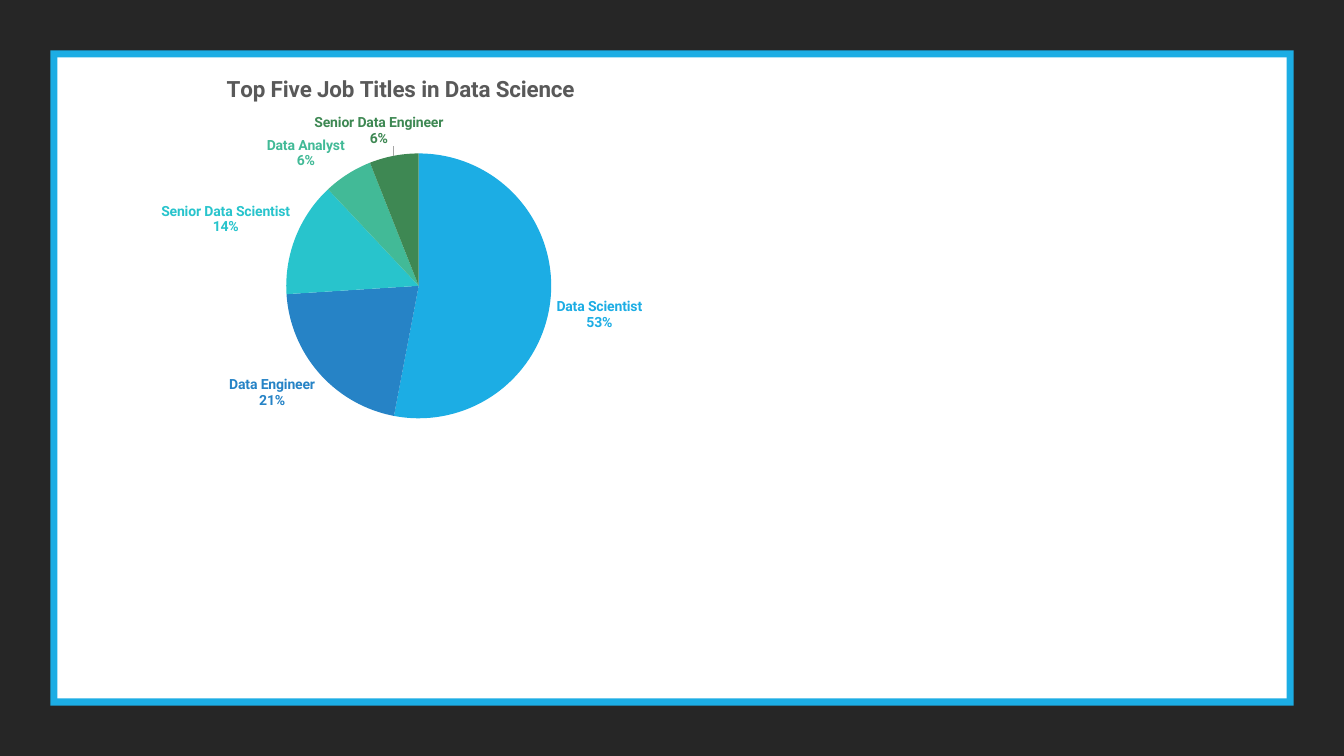
from lxml import etree
from pptx import Presentation
from pptx.chart.data import CategoryChartData
from pptx.dml.color import RGBColor
from pptx.enum import chart as ch, shapes
from pptx.oxml import ns, parse_xml
from pptx.util import Inches, Pt

DARK = RGBColor(0x26, 0x26, 0x26)
BLUE = RGBColor(0x1C, 0xAD, 0xE4)
WHITE = RGBColor(0xFF, 0xFF, 0xFF)
GREY = RGBColor(0x59, 0x59, 0x59)
LINE_GREY = RGBColor(0xA6, 0xA6, 0xA6)
BLACK = RGBColor(0, 0, 0)
MID_BLUE = RGBColor(0x26, 0x83, 0xC6)
TURQUOISE = RGBColor(0x28, 0xC4, 0xCC)
MINT = RGBColor(0x42, 0xBA, 0x97)
GREEN = RGBColor(0x3E, 0x88, 0x53)
FONT = "Roboto"

JOBS = {
    "Data Scientist": (53, BLUE),
    "Data Engineer": (21, MID_BLUE),
    "Senior Data Scientist": (14, TURQUOISE),
    "Data Analyst": (6, MINT),
    "Senior Data Engineer": (6, GREEN),
}


def add_panel(s, margin, color):
    """Rectangle inset by the same margin on all sides of the slide."""
    sp = s.shapes.add_shape(
        shapes.MSO_SHAPE.RECTANGLE, Inches(margin), Inches(margin),
        Inches(13.33 - 2 * margin), Inches(7.5 - 2 * margin))
    sp.shadow.inherit = False
    sp.fill.solid()
    sp.fill.fore_color.rgb = color
    sp.line.fill.background()


def set_font(font, size, color, bold=True):
    font.name = FONT
    font.size = Pt(size)
    font.bold = bold
    font.color.rgb = color


def add_layout(parent, index, **values):
    """Insert a manual layout into a chart element."""
    layout = etree.Element(ns.qn("c:layout"))
    manual = etree.SubElement(layout, ns.qn("c:manualLayout"))
    for name, value in values.items():
        etree.SubElement(manual, ns.qn("c:" + name)).set("val", str(value))
    parent.insert(index, layout)


def show_name_and_percent(labels):
    """Show category and percentage on two lines."""
    for name, value in (("showVal", "0"), ("showCatName", "1"),
                        ("showSerName", "0"), ("showPercent", "1")):
        labels.find(ns.qn("c:" + name)).set("val", value)
    separator = etree.Element(ns.qn("c:separator"))
    separator.text = "\n"
    labels.find(ns.qn("c:showBubbleSize")).addnext(separator)


def add_leader_lines(labels):
    labels.append(parse_xml(
        f'<c:leaderLines {ns.nsdecls("c", "a")}><c:spPr><a:ln w="9525">'
        f'<a:solidFill><a:srgbClr val="{LINE_GREY}"/></a:solidFill>'
        '</a:ln></c:spPr></c:leaderLines>'))


def style_series(series):
    labels = series.data_labels
    labels.number_format = "0%"
    labels.number_format_is_linked = False
    labels.position = ch.XL_LABEL_POSITION.OUTSIDE_END
    for i, (_, color) in enumerate(JOBS.values()):
        point = series.points[i]
        point.format.fill.solid()
        point.format.fill.fore_color.rgb = color
        set_font(point.data_label.font, 10, color)
        point.data_label.position = ch.XL_LABEL_POSITION.OUTSIDE_END


def add_job_pie(s):
    data = CategoryChartData()
    data.categories = list(JOBS)
    for number in (1, 2, 3):
        data.add_series(f"Series {number}", [v for v, _ in JOBS.values()])
    chart = s.shapes.add_chart(
        ch.XL_CHART_TYPE.PIE, Inches(0.4), Inches(0.57),
        Inches(7.15), Inches(3.81), data).chart
    chart.replace_data(data)  # a new pie holds only the first series
    set_font(chart.font, 10, BLACK, bold=False)
    chart.has_legend = False
    chart.plots[0].vary_by_categories = True

    # Title
    chart.has_title = True
    r = chart.chart_title.text_frame.paragraphs[0].add_run()
    r.text = "Top Five Job Titles in Data Science"
    set_font(r.font, 16, GREY)
    chart.chart_title.include_in_layout = False

    # Slices and labels
    for series in chart.plots[0].series:
        style_series(series)
    for labels in chart.element.xpath(".//c:ser/c:dLbls | .//c:dLbl"):
        show_name_and_percent(labels)
    for labels in chart.element.xpath(".//c:ser/c:dLbls"):
        add_leader_lines(labels)
    for label in chart.element.xpath(".//c:dLbl[c:idx/@val='4']"):
        add_layout(label, 1, x=0.07, y=-0.01)

    # Pie position inside the chart
    area = chart.element.xpath(".//c:plotArea")[0]
    for old in area.findall(ns.qn("c:layout")):
        area.remove(old)
    add_layout(area, 0, layoutTarget="inner", xMode="edge", yMode="edge",
               x=0.34, y=0.25, w=0.37, h=0.69)


def main():
    prs = Presentation()
    prs.slide_width, prs.slide_height = Inches(13.33), Inches(7.5)
    s = prs.slides.add_slide(prs.slide_layouts[6])

    # Dark surround, blue frame, white page
    for margin, color in ((0, DARK), (0.5, BLUE), (0.57, WHITE)):
        add_panel(s, margin, color)
    add_job_pie(s)
    prs.save("out.pptx")


if __name__ == "__main__":
    main()
